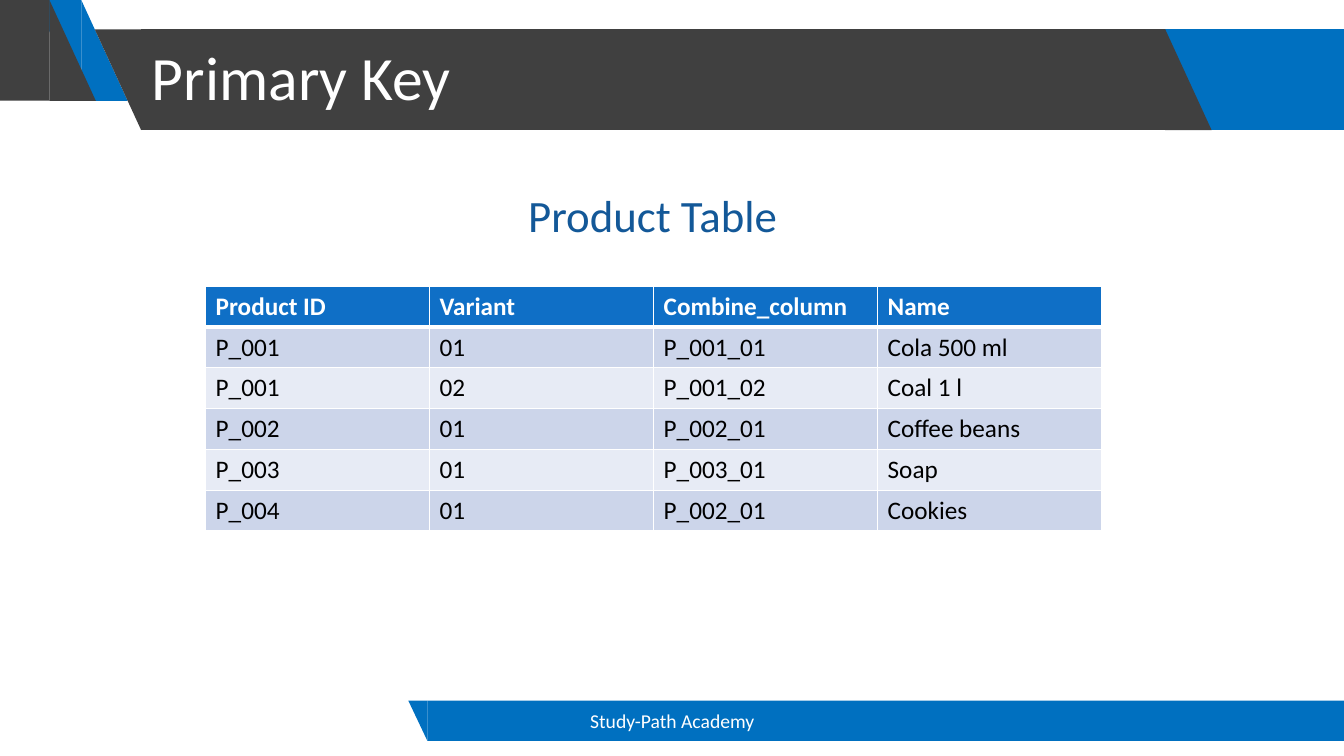
from dataclasses import dataclass

from lxml import etree
from pptx import Presentation
from pptx.dml.color import RGBColor
from pptx.enum.shapes import MSO_SHAPE
from pptx.enum.text import MSO_ANCHOR, PP_ALIGN
from pptx.oxml.ns import qn
from pptx.util import Inches, Pt

RECTANGLE = MSO_SHAPE.RECTANGLE
TRIANGLE = MSO_SHAPE.RIGHT_TRIANGLE
LEFT, CENTER = PP_ALIGN.LEFT, PP_ALIGN.CENTER
TOP, MIDDLE = MSO_ANCHOR.TOP, MSO_ANCHOR.MIDDLE


@dataclass(frozen=True)
class Theme:
    font: str = "Calibri"
    blue: str = "0070C0"
    dark: str = "404040"
    white: str = "FFFFFF"
    black: str = "000000"
    heading: str = "135898"
    table_header: str = "0F6FC6"
    table_bands: tuple = ("CCD5EA", "E7EBF5")
    title_size: int = 44
    heading_size: int = 32
    table_size: int = 18
    footer_size: int = 14
    border: int = 1
    header_border: int = 3


class SlideBuilder:
    """Adds styled elements; lengths are percentages of the slide's size."""

    def __init__(self, presentation, theme):
        self.theme = theme
        self.width = presentation.slide_width
        self.height = presentation.slide_height
        self.slide = presentation.slides.add_slide(presentation.slide_layouts[6])

    def box(self, left, top, width, height):
        """Turns percentages into slide lengths."""
        return (int(self.width * left / 100), int(self.height * top / 100),
                int(self.width * width / 100), int(self.height * height / 100))

    def block(self, kind, place, color, rotation=0):
        shape = self.slide.shapes.add_shape(kind, *self.box(*place))
        shape.shadow.inherit = False
        shape.fill.solid()
        shape.fill.fore_color.rgb = RGBColor.from_string(color)
        shape.line.fill.background()
        shape.rotation = rotation

    def style(self, paragraph, size, color, bold=False):
        paragraph.font.name = self.theme.font
        paragraph.font.size = Pt(size)
        paragraph.font.bold = bold
        paragraph.font.color.rgb = RGBColor.from_string(color)

    def text(self, words, place, size, color, align=CENTER, anchor=MIDDLE, spacing=1.0):
        frame = self.slide.shapes.add_textbox(*self.box(*place)).text_frame
        frame.word_wrap = True
        frame.vertical_anchor = anchor
        paragraph = frame.paragraphs[0]
        paragraph.text = words
        paragraph.alignment = align
        paragraph.line_spacing = spacing
        self.style(paragraph, size, color)

    def borders(self, cell, bottom):
        properties = cell._tc.get_or_add_tcPr()
        thin = self.theme.border
        for side, points in (("L", thin), ("R", thin), ("T", thin), ("B", bottom)):
            line = etree.SubElement(properties, qn(f"a:ln{side}"), w=str(Pt(points)))
            fill = etree.SubElement(line, qn("a:solidFill"))
            etree.SubElement(fill, qn("a:srgbClr"), val=self.theme.white)

    def table(self, rows, place):
        theme = self.theme
        table = self.slide.shapes.add_table(
            len(rows), len(rows[0]), *self.box(*place)).table
        for row_index, row in enumerate(rows):
            header = row_index == 0
            fill = theme.table_header if header else theme.table_bands[(row_index - 1) % 2]
            for column_index, words in enumerate(row):
                cell = table.cell(row_index, column_index)
                cell.text = words
                self.style(cell.text_frame.paragraphs[0], theme.table_size,
                           theme.white if header else theme.black, header)
                self.borders(cell, theme.header_border if header else theme.border)
                cell.fill.solid()
                cell.fill.fore_color.rgb = RGBColor.from_string(fill)


PRODUCTS = (
    ("Product ID", "Variant", "Combine_column", "Name"),
    ("P_001", "01", "P_001_01", "Cola 500 ml"),
    ("P_001", "02", "P_001_02", "Coal 1 l"),
    ("P_002", "01", "P_002_01", "Coffee beans"),
    ("P_003", "01", "P_003_01", "Soap"),
    ("P_004", "01", "P_002_01", "Cookies"),
)


def draw_banner(builder):
    blue, dark = builder.theme.blue, builder.theme.dark
    band_top, band_height, slant = 3.87, 13.33, 3.45
    corner, title_left, title_width = 3.68, 10.5, 76.2
    title_right = title_left + title_width
    for kind, left, top, width, color, rotation in (
        (RECTANGLE, 80.1, band_top, 19.9, blue, 0),
        (TRIANGLE, 6.05, 0, slant, blue, 0),
        (TRIANGLE, 2.6, 0, slant, blue, 180),
        (RECTANGLE, 0, 0, corner, dark, 0),
        (TRIANGLE, corner, 0, slant, dark, 0),
        (TRIANGLE, title_left - slant, band_top, slant, dark, 180),
        (RECTANGLE, title_left, band_top, title_width, dark, 0),
        (TRIANGLE, title_right, band_top, slant, dark, 0),
    ):
        builder.block(kind, (left, top, width, band_height), color, rotation)


def draw_footer(builder):
    theme = builder.theme
    top, height, left, slant = 92.67, 5.33, 31.8, 1.42
    builder.block(RECTANGLE, (left, top, 100 - left, height), theme.blue)
    builder.block(TRIANGLE, (left - slant, top, slant, height), theme.blue, 180)
    builder.text("Study-Path Academy", (33.15, top, 33.75, height),
                 theme.footer_size, theme.white)


def main():
    presentation = Presentation()
    presentation.slide_width = Inches(13.33)
    presentation.slide_height = Inches(7.5)
    theme = Theme()
    builder = SlideBuilder(presentation, theme)
    draw_banner(builder)
    draw_footer(builder)
    builder.text("Primary Key", (10.57, 0.93, 76.05, 19.33),
                 theme.title_size, theme.white, align=LEFT, spacing=0.9)
    builder.table(PRODUCTS, (15.3, 37.87, 66.67, 32.4))
    builder.text("Product Table", (33.15, 24.13, 30.83, 8.53),
                 theme.heading_size, theme.heading, anchor=TOP)
    presentation.save("out.pptx")


if __name__ == "__main__":
    main()
